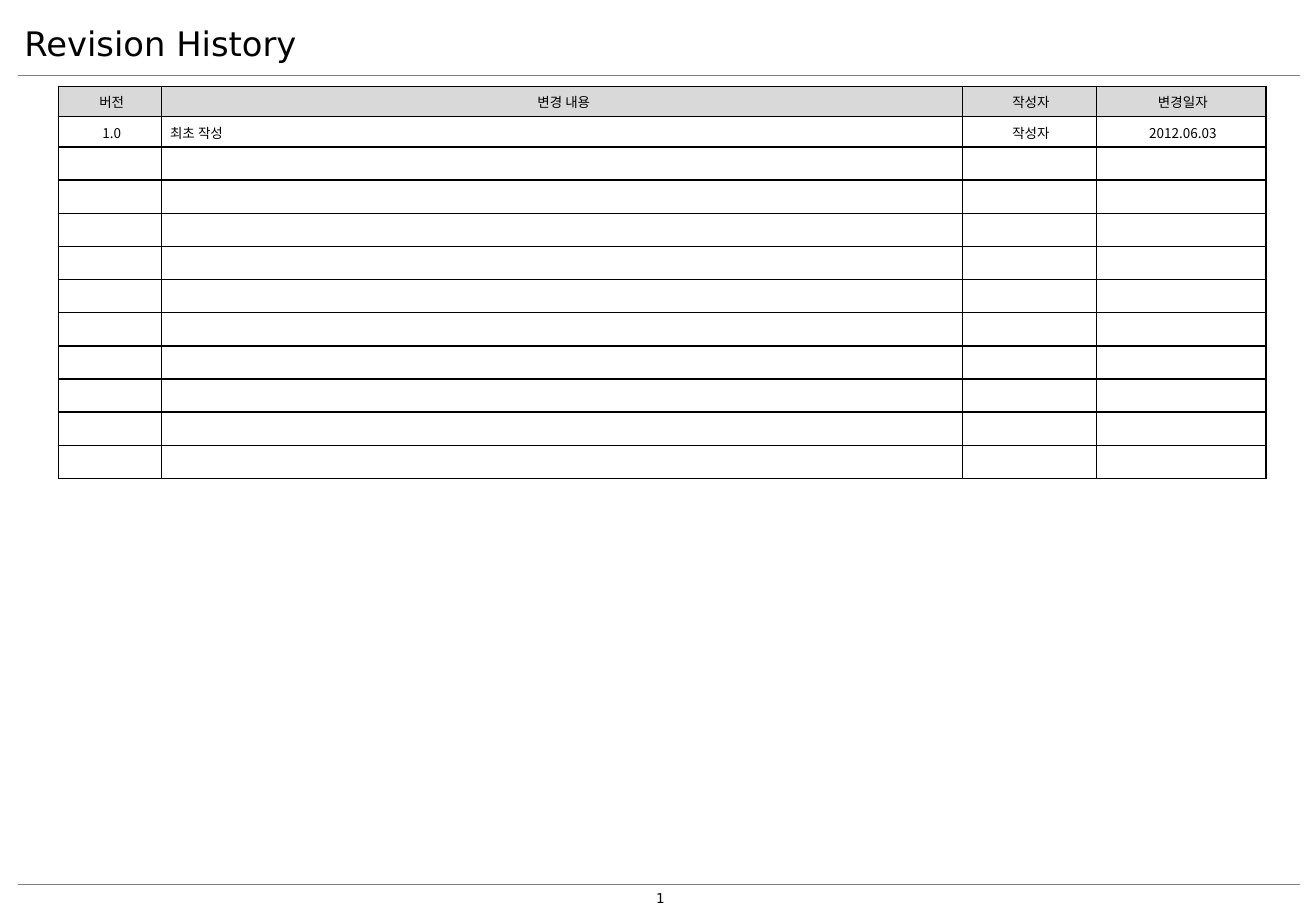
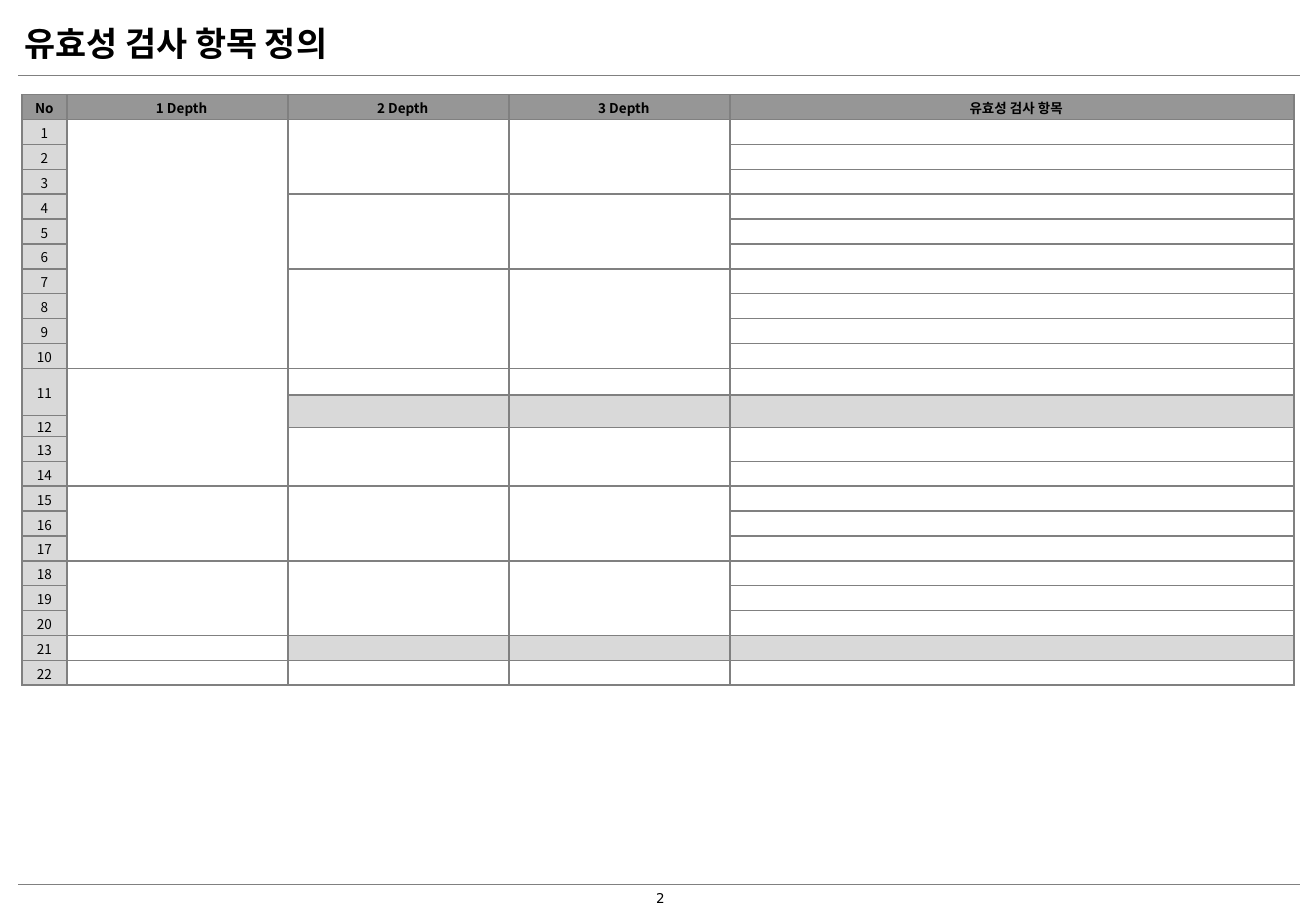
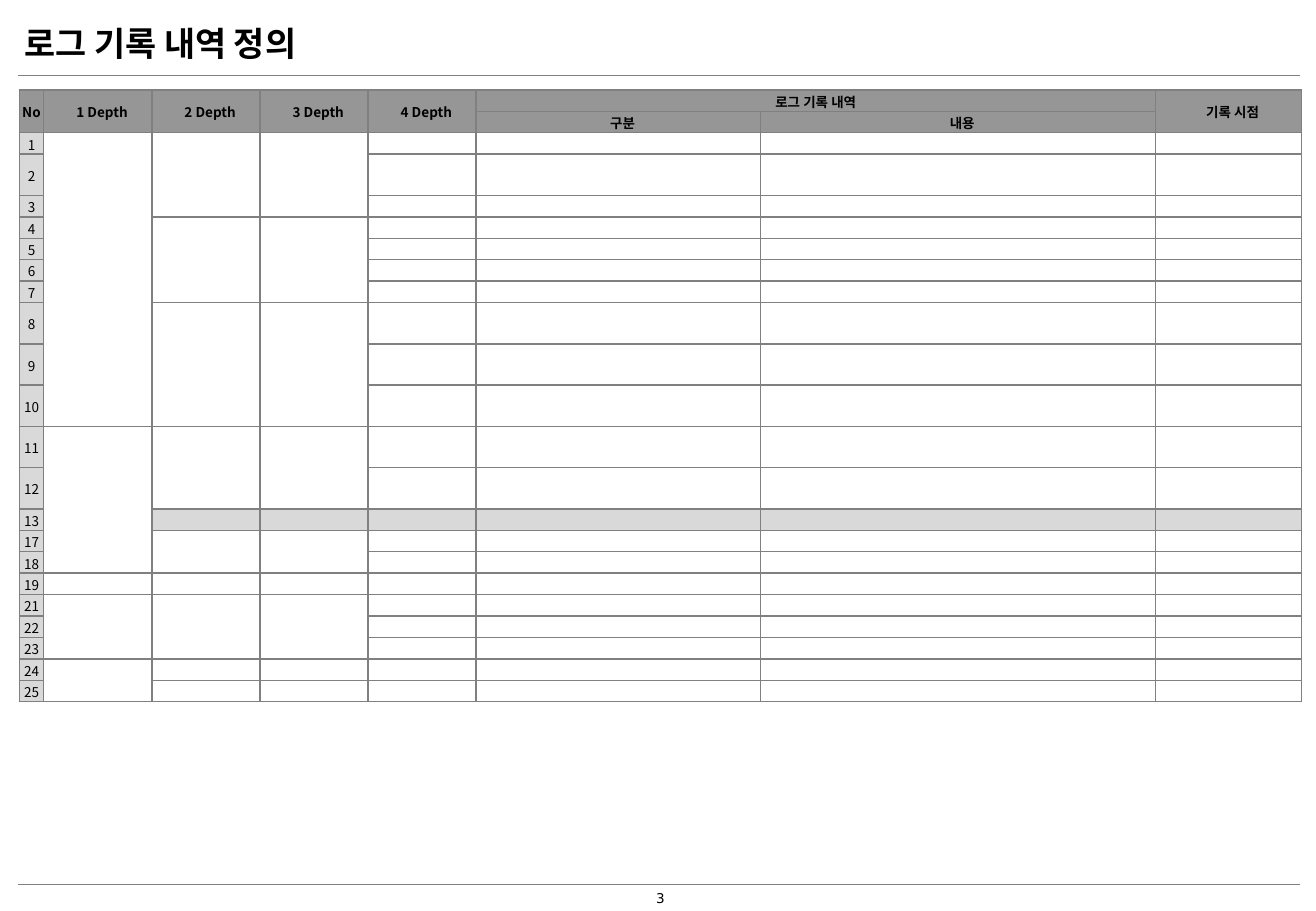
from dataclasses import dataclass, field

from lxml import etree
from pptx import Presentation
from pptx.dml.color import RGBColor
from pptx.enum.shapes import MSO_CONNECTOR
from pptx.enum.text import MSO_ANCHOR, MSO_AUTO_SIZE, PP_ALIGN
from pptx.oxml.ns import qn
from pptx.util import Inches, Pt

STRAIGHT = MSO_CONNECTOR.STRAIGHT
MIDDLE = MSO_ANCHOR.MIDDLE
NO_AUTOFIT = MSO_AUTO_SIZE.NONE
LEFT, CENTER = PP_ALIGN.LEFT, PP_ALIGN.CENTER

LATIN_FONT = "DejaVu Sans"
KOREAN_FONT = "Noto Sans CJK KR"
BLACK, WHITE = "000000", "FFFFFF"
GRAY, LIGHT_GRAY, MID_GRAY = "808080", "D9D9D9", "969696"
TITLE_SIZE, TEXT_SIZE = 20, 8
TITLE_ONLY_LAYOUT = 5
RULE_LEFT, RULE_RIGHT = 0.15, 10.7
RULE_HEIGHTS = (0.62, 7.28)


@dataclass
class Grid:
    """A table; merges are (row, column, row span, column span)."""
    left: float
    top: float
    column_widths: list[float]
    row_heights: list[float]
    texts: dict[tuple[int, int], str]
    header_fill: str
    header_rows: int = 1
    header_bold: bool = True
    numbered: bool = True
    merges: list[tuple[int, int, int, int]] = field(default_factory=list)
    gray_rows: tuple[int, ...] = ()
    left_aligned: tuple[tuple[int, int], ...] = ()
    border_color: str = GRAY
    inner_border: float = 1
    line_spacing: float | None = None
    text_inset: tuple[float, float] = (0.08, 0.01)
    top_inset: float = 0.01

    def fill(self, row: int, column: int) -> str:
        if row < self.header_rows:
            return self.header_fill
        if self.numbered and column == 0 or row in self.gray_rows and column >= 2:
            return LIGHT_GRAY
        return WHITE

    def insets(self, row: int, column: int) -> tuple[float, float]:
        """Number cells and cells merged across columns have no wide left inset."""
        spans_columns = any((row, column) == merge[:2] and merge[3] > 1 for merge in self.merges)
        return (0.01, 0.01) if self.numbered and column == 0 or spans_columns else self.text_inset


@dataclass
class Page:
    title: str
    title_font: str
    title_bold: bool
    grid: Grid


def color(value: str) -> RGBColor:
    return RGBColor.from_string(value)


def share_heights(total: float, count: int, fixed: dict[int, float]) -> list[float]:
    """Split what the fixed rows leave of the total equally among the others."""
    equal = (total - sum(fixed.values())) / (count - len(fixed))
    return [fixed.get(row, equal) for row in range(count)]


def format_run(run, size: float, font_name: str, bold: bool = False) -> None:
    run.font.size = Pt(size)
    run.font.bold = bold
    run.font.color.rgb = color(BLACK)
    run.font.name = font_name
    east_asian = etree.SubElement(run.font._element, qn("a:ea"))
    east_asian.set("typeface", font_name)


def set_border(cell, edge: str, width: float, line_color: str) -> None:
    line = etree.SubElement(cell._tc.get_or_add_tcPr(), qn(f"a:ln{edge}"), w=str(Pt(width)))
    solid = etree.SubElement(line, qn("a:solidFill"))
    etree.SubElement(solid, qn("a:srgbClr"), val=line_color)


def format_cell(cell, grid: Grid, row: int, column: int) -> None:
    last_column = len(grid.column_widths) - 1
    widths = {
        "L": 1 if column == 0 else grid.inner_border,
        "R": 1 if column == last_column else grid.inner_border,
        "T": 1,
        "B": 1,
    }
    for edge, width in widths.items():
        set_border(cell, edge, width, grid.border_color)
    cell.fill.solid()
    cell.fill.fore_color.rgb = color(grid.fill(row, column))
    left, right = grid.insets(row, column)
    cell.margin_left, cell.margin_right = Inches(left), Inches(right)
    cell.margin_top, cell.margin_bottom = Inches(grid.top_inset), Inches(0)
    cell.vertical_anchor = MIDDLE

    paragraph = cell.text_frame.paragraphs[0]
    text = grid.texts.get((row, column))
    if text is None:
        etree.SubElement(paragraph._p, qn("a:endParaRPr"), sz=str(TEXT_SIZE * 100))
        return
    paragraph.text = text
    paragraph.alignment = LEFT if (row, column) in grid.left_aligned else CENTER
    if grid.line_spacing:
        paragraph.line_spacing = Pt(grid.line_spacing)
    bold = grid.header_bold and row < grid.header_rows
    format_run(paragraph.runs[0], TEXT_SIZE, KOREAN_FONT, bold)


def draw_grid(slide, grid: Grid) -> None:
    table = slide.shapes.add_table(
        len(grid.row_heights), len(grid.column_widths),
        Inches(grid.left), Inches(grid.top),
        Inches(sum(grid.column_widths)), Inches(sum(grid.row_heights)),
    ).table
    table.first_row = table.horz_banding = False
    for table_column, width in zip(table.columns, grid.column_widths):
        table_column.width = Inches(width)
    for table_row, height in zip(table.rows, grid.row_heights):
        table_row.height = Inches(height)
    for row in range(len(grid.row_heights)):
        for column in range(len(grid.column_widths)):
            format_cell(table.cell(row, column), grid, row, column)
    for row, column, row_span, column_span in grid.merges:
        end = table.cell(row + row_span - 1, column + column_span - 1)
        table.cell(row, column).merge(end)


def prepare_layout(layout) -> None:
    title = layout.placeholders[0]
    title.left, title.top = Inches(0.1), Inches(0.08)
    title.width, title.height = Inches(8.86), Inches(0.55)
    title.text_frame.vertical_anchor = MIDDLE
    title.text_frame.auto_size = NO_AUTOFIT


def add_rules(slide, layout) -> None:
    """Draw the two page rules and hand them to the layout, so all slides share them."""
    for height in RULE_HEIGHTS:
        rule = slide.shapes.add_connector(
            STRAIGHT, Inches(RULE_LEFT), Inches(height), Inches(RULE_RIGHT), Inches(height))
        rule.line.color.rgb = color(GRAY)
        rule.line.width = Pt(0.75)
        etree.SubElement(rule._element.spPr, qn("a:effectLst"))
        layout.shapes.element.append(rule._element)


def add_page_number(slide, number: int) -> None:
    """Add a text box with a slide number field."""
    box = slide.shapes.add_textbox(Inches(5.06), Inches(7.37), Inches(0.75), Inches(0.08))
    box.text_frame.word_wrap = True
    box.text_frame.auto_size = NO_AUTOFIT
    box.text_frame.vertical_anchor = MIDDLE
    paragraph = box.text_frame.paragraphs[0]
    paragraph.text = str(number)
    paragraph.alignment = CENTER
    paragraph.line_spacing = 0.7
    run = paragraph.runs[0]
    format_run(run, TEXT_SIZE, LATIN_FONT)
    number_field = etree.SubElement(
        paragraph._p, qn("a:fld"),
        id="{B6F15528-21DE-4FAA-801E-634DDDAF4B2B}", type="slidenum")
    number_field.extend(list(run._r))
    paragraph._p.remove(run._r)


def draw_page(slide, page: Page, number: int) -> None:
    paragraph = slide.shapes.title.text_frame.paragraphs[0]
    paragraph.text = page.title
    paragraph.alignment = LEFT
    format_run(paragraph.runs[0], TITLE_SIZE, page.title_font, page.title_bold)
    add_page_number(slide, number)
    draw_grid(slide, page.grid)


def row_texts(row: int, texts: list[str]) -> dict[tuple[int, int], str]:
    return {(row, column): text for column, text in enumerate(texts)}


def number_texts(rows: list[int], numbers: list[int]) -> dict[tuple[int, int], str]:
    return {(row, 0): str(number) for row, number in zip(rows, numbers)}


def vertical_merges(column_spans: dict[int, list[tuple[int, int]]]) -> list[tuple[int, int, int, int]]:
    """Turn (first row, row span) pairs, listed by column, into merges."""
    return [(row, column, span, 1)
            for column, spans in column_spans.items() for row, span in spans]


def revision_grid() -> Grid:
    return Grid(
        left=0.48, top=0.71,
        column_widths=[0.85, 6.59, 1.1, 1.4],
        row_heights=share_heights(3.23, 12, {0: 0.25, 1: 0.25}),
        texts=row_texts(0, ["버전", "변경 내용", "작성자", "변경일자"])
        | row_texts(1, ["1.0", "최초 작성", "작성자", "2012.06.03"]),
        header_fill=LIGHT_GRAY, header_bold=False, numbered=False,
        left_aligned=((1, 1),),
        border_color=BLACK, inner_border=0.25, line_spacing=12,
        text_inset=(0.07, 0.04), top_inset=0,
    )


def validation_grid() -> Grid:
    depth_spans = [(1, 3), (4, 3), (7, 4), (12, 2), (14, 3), (17, 3), (20, 3)]
    return Grid(
        left=0.18, top=0.78,
        column_widths=[0.37, 1.82, 1.82, 1.82, 4.64],
        row_heights=share_heights(4.86, 25, {11: 0.22, 12: 0.17, 13: 0.1, 14: 0.07}),
        texts=row_texts(0, ["No", "1 Depth", "2 Depth", "3 Depth", "유효성 검사 항목"])
        | number_texts([*range(1, 12), 13, *range(15, 25)], [*range(1, 23)]),
        header_fill=MID_GRAY,
        merges=vertical_merges({
            0: [(11, 2), (13, 2)],
            1: [(1, 10), (11, 6), (17, 3), (20, 3)],
            2: depth_spans,
            3: depth_spans,
            4: [(12, 2), (14, 2)],
        }),
        gray_rows=(12, 13, 23),
    )


def log_grid() -> Grid:
    depth_spans = [(2, 3), (5, 4), (9, 3), (12, 2), (15, 2), (18, 3)]
    header_merges = [(0, column, 2, 1) for column in (0, 1, 2, 3, 4, 7)] + [(0, 5, 1, 2)]
    return Grid(
        left=0.16, top=0.74,
        column_widths=[0.2] + [0.89] * 4 + [2.34, 3.25, 1.2],
        row_heights=share_heights(5.04, 23, {row: 0.34 for row in (3, *range(9, 14))}),
        texts=row_texts(0, ["No", "1 Depth", "2 Depth", "3 Depth", "4 Depth", "로그 기록 내역"])
        | {(0, 7): "기록 시점", (1, 5): "구분", (1, 6): "내용"}
        | number_texts([*range(2, 23)], [*range(1, 14), 17, 18, 19, *range(21, 26)]),
        header_fill=MID_GRAY, header_rows=2,
        merges=header_merges + vertical_merges({
            1: [(2, 10), (12, 5), (18, 3), (21, 2)],
            2: depth_spans,
            3: depth_spans,
        }),
        gray_rows=(14,),
    )


def main() -> None:
    pages = [
        Page("Revision History", LATIN_FONT, False, revision_grid()),
        Page("유효성 검사 항목 정의", KOREAN_FONT, True, validation_grid()),
        Page("로그 기록 내역 정의", KOREAN_FONT, True, log_grid()),
    ]
    presentation = Presentation()
    presentation.slide_width, presentation.slide_height = Inches(10.83), Inches(7.5)
    layout = presentation.slide_layouts[TITLE_ONLY_LAYOUT]
    prepare_layout(layout)
    for number, page in enumerate(pages, start=1):
        slide = presentation.slides.add_slide(layout)
        if number == 1:
            add_rules(slide, layout)
        draw_page(slide, page, number)
    presentation.save("out.pptx")


if __name__ == "__main__":
    main()
